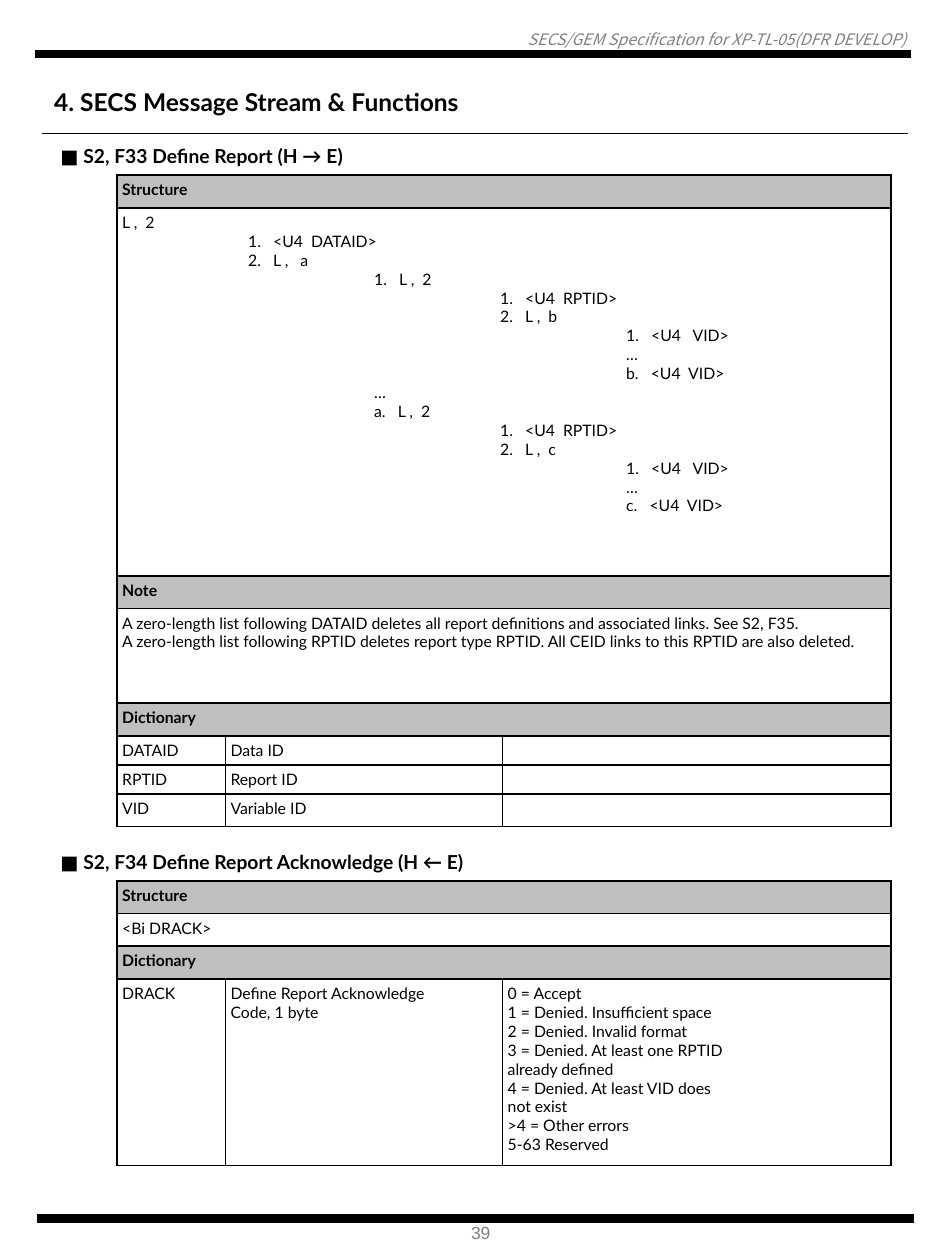
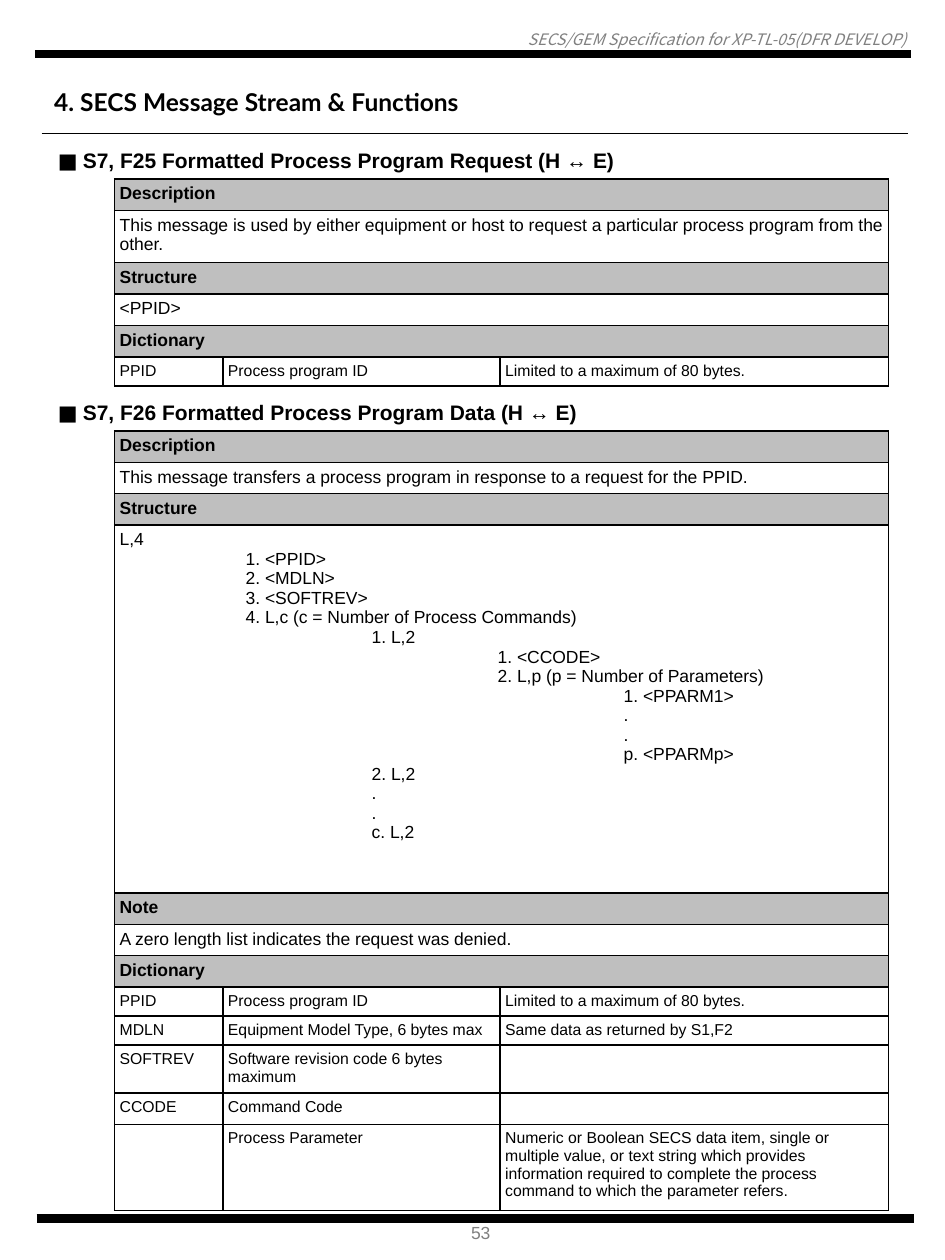
from lxml import etree
from pptx import Presentation
from pptx.dml.color import RGBColor
from pptx.enum.shapes import MSO_CONNECTOR
from pptx.enum.text import MSO_ANCHOR, MSO_AUTO_SIZE, PP_ALIGN
from pptx.oxml import parse_xml
from pptx.oxml.ns import nsdecls, qn
from pptx.util import Inches, Pt

STRAIGHT = MSO_CONNECTOR.STRAIGHT
TOP, MIDDLE = MSO_ANCHOR.TOP, MSO_ANCHOR.MIDDLE
LEFT, RIGHT = PP_ALIGN.LEFT, PP_ALIGN.RIGHT
NO_AUTOSIZE = MSO_AUTO_SIZE.NONE

BLACK, WHITE, GREY, BAND = "000000", "FFFFFF", "808080", "BFBFBF"
TITLE = "4. SECS Message Stream & Functions"
COLUMNS = [0.49, 0.86, 2.2, 3.08]
SECTIONS = ("Description", "Structure", "Note", "Dictionary")
# Full-width lines of the page: x1, x2, y, weight
RULES = [(0.28, 7.23, 0.43, 4.75), (0.29, 7.25, 9.67, 4.75), (0.33, 7.21, 1.06, 0.75)]


def add_run(p, text, font, size, color=BLACK, bold=False, italic=False):
    r = p.add_run()
    r.text = text
    r.font.name, r.font.size = font, Pt(size)
    r.font.bold, r.font.italic = bold, italic
    r.font.color.rgb = RGBColor.from_string(color)


def set_borders(cell, sides):
    """sides: (colour, points) for left, right, top and bottom."""
    tc_pr = cell._tc.get_or_add_tcPr()
    for i, (side, (color, points)) in enumerate(zip("LRTB", sides)):
        tc_pr.insert(i, parse_xml(
            f'<a:ln{side} {nsdecls("a")} w="{Pt(points)}"><a:solidFill>'
            f'<a:srgbClr val="{color}"/></a:solidFill></a:ln{side}>'))


# Message tables: a row is its height and its texts; one text spans the three
# inner columns, and each leading tab of a line is one indent level.
define_report = [
    (0.26, ["Structure"]),
    (2.92, ["""L ,  2
\t1.   <U4  DATAID>
\t2.   L ,   a
\t\t1.   L ,  2
\t\t\t1.   <U4  RPTID>
\t\t\t2.   L ,  b
\t\t\t\t1.   <U4   VID>
\t\t\t\t…
\t\t\t\tb.   <U4  VID>
\t\t…
\t\ta.   L ,  2
\t\t\t1.   <U4  RPTID>
\t\t\t2.   L ,  c
\t\t\t\t1.   <U4   VID>
\t\t\t\t…
\t\t\t\tc.   <U4  VID>"""]),
    (0.26, ["Note"]),
    (0.75, ["A zero-length list following DATAID deletes all report definitions "
            "and associated links. See S2, F35.\n"
            "A zero-length list following RPTID deletes report type RPTID. "
            "All CEID links to this RPTID are also deleted."]),
    (0.26, ["Dictionary"]),
    (0.23, ["DATAID", "Data ID", ""]),
    (0.23, ["RPTID", "Report ID", ""]),
    (0.26, ["VID", "Variable ID", ""]),
]
report_acknowledge = [
    (0.26, ["Structure"]),
    (0.26, ["<Bi DRACK>"]),
    (0.26, ["Dictionary"]),
    (1.48, ["DRACK", "Define Report Acknowledge\nCode, 1 byte", """0 = Accept
1 = Denied. Insufficient space
2 = Denied. Invalid format
3 = Denied. At least one RPTID
already defined
4 = Denied. At least VID does
not exist
>4 = Other errors
5-63 Reserved"""]),
]
PPID_ROW = (0.23, ["PPID", "Process program ID", "Limited to a maximum of 80 bytes."])
program_request = [
    (0.25, ["Description"]),
    (0.41, ["This message is used by either equipment or host to request "
            "a particular process program from the other."]),
    (0.25, ["Structure"]),
    (0.25, ["<PPID>"]),
    (0.25, ["Dictionary"]),
    PPID_ROW,
]
program_data = [
    (0.25, ["Description"]),
    (0.24, ["This message transfers a process program in response to a request for the PPID."]),
    (0.25, ["Structure"]),
    (2.92, ["""L,4
\t1. <PPID>
\t2. <MDLN>
\t3. <SOFTREV>
\t4. L,c (c = Number of Process Commands)
\t\t1. L,2
\t\t\t1. <CCODE>
\t\t\t2. L,p (p = Number of Parameters)
\t\t\t\t1. <PPARM1>
\t\t\t\t.
\t\t\t\t.
\t\t\t\tp. <PPARMp>
\t\t2. L,2
\t\t.
\t\t.
\t\tc. L,2"""]),
    (0.25, ["Note"]),
    (0.24, ["A zero length list indicates the request was denied."]),
    (0.25, ["Dictionary"]),
    PPID_ROW,
    (0.23, ["MDLN", "Equipment Model Type, 6 bytes max", "Same data as returned by S1,F2"]),
    (0.38, ["SOFTREV", "Software revision code 6 bytes maximum", ""]),
    (0.25, ["CCODE", "Command Code", ""]),
    (0.68, ["", "Process Parameter",
            "Numeric or Boolean SECS data item, single or multiple value, "
            "or text string which provides\n"
            "information required to complete the process command "
            "to which the parameter refers."]),
]

# Page number, font, sizes (heading, text, dictionary), table left, and the
# tables: top, heading, rows, first and last row merged in the margin column
pages = [
    ("39", "Lato", (11, 9, 9), 0.44, [
        (1.09, "S2, F33 Define Report (H → E)", define_report, 4, 7),
        (6.69, "S2, F34 Define Report Acknowledge (H ← E)", report_acknowledge, 3, 4)]),
    ("53", "Arial", (12, 10, 9), 0.42, [
        (1.12, "S7, F25 Formatted Process Program Request (H ↔ E)", program_request, 5, 6),
        (3.12, "S7, F26 Formatted Process Program Data (H ↔ E)", program_data, 6, 10)]),
]

prs = Presentation()
prs.slide_width, prs.slide_height = Inches(7.5), Inches(10)

for number, font, (heading_size, text_size, dict_size), left, tables in pages:
    s = prs.slides.add_slide(prs.slide_layouts[5])

    # Title
    sp = s.shapes.title
    sp.left, sp.top, sp.width, sp.height = map(Inches, (0.33, 0.64, 3.86, 0.34))
    tf = sp.text_frame
    tf.word_wrap, tf.auto_size, tf.vertical_anchor = False, NO_AUTOSIZE, TOP
    tf.paragraphs[0].alignment = LEFT
    add_run(tf.paragraphs[0], TITLE, "Lato", 14, bold=True)

    # Running header
    sp = s.shapes.add_textbox(Inches(0.05), Inches(0.24), Inches(7.14), Inches(0.15))
    tf = sp.text_frame
    tf.word_wrap = True
    tf.margin_left = tf.margin_right = tf.margin_top = tf.margin_bottom = 0
    tf.paragraphs[0].alignment = RIGHT
    add_run(tf.paragraphs[0], "SECS/GEM Specification for XP-TL-05(DFR DEVELOP)",
            "Noto Sans CJK KR", 9, GREY, italic=True)

    # Bars and title rule
    for x1, x2, y, weight in RULES:
        line = s.shapes.add_connector(STRAIGHT, Inches(x1), Inches(y), Inches(x2), Inches(y))
        line.line.color.rgb = RGBColor.from_string(BLACK)
        line.line.width = Pt(weight)
        etree.SubElement(line._element.spPr, qn("a:effectLst"))

    # Page number
    sp = s.shapes.add_textbox(Inches(3.64), Inches(9.65), Inches(0.37), Inches(0.27))
    sp.text_frame.word_wrap = False
    add_run(sp.text_frame.paragraphs[0], number, "Arial", 10, GREY)

    # Message tables
    for top, heading, rows, merge_from, merge_to in tables:
        heights = [0.3] + [height for height, _ in rows]
        table = s.shapes.add_table(
            len(heights), len(COLUMNS), Inches(left), Inches(top),
            Inches(sum(COLUMNS)), Inches(sum(heights))).table
        table.first_row = table.horz_banding = False
        for i, width in enumerate(COLUMNS):
            table.columns[i].width = Inches(width)

        # Cell frames
        for i, height in enumerate(heights):
            table.rows[i].height = Inches(height)
            for j in range(len(COLUMNS)):
                cell = table.cell(i, j)
                cell.margin_left = cell.margin_right = Inches(0.04)
                cell.margin_top = cell.margin_bottom = Inches(0.04)
                cell.fill.background()
                light, dark = (WHITE, 0.75), (BLACK, 1)
                if i == 0:
                    set_borders(cell, [light] * 4)
                elif j == 0:
                    set_borders(cell, [light, dark, light, light])
                else:
                    set_borders(cell, [dark] * 4)

        # Heading
        cell = table.cell(0, 0)
        cell.merge(table.cell(0, 3))
        cell.vertical_anchor = MIDDLE
        p = cell.text_frame.paragraphs[0]
        add_run(p, "■ ", "Lato", heading_size, bold=True)
        add_run(p, heading, font, heading_size, bold=True)
        table.cell(merge_from, 0).merge(table.cell(merge_to, 0))

        # Texts
        for i, (_, texts) in enumerate(rows, 1):
            if len(texts) == 1:
                table.cell(i, 1).merge(table.cell(i, 3))
            size = text_size if len(texts) == 1 else dict_size
            is_section = texts[0] in SECTIONS
            for j, text in enumerate(texts, 1):
                cell = table.cell(i, j)
                if is_section:
                    cell.fill.solid()
                    cell.fill.fore_color.rgb = RGBColor.from_string(BAND)
                tf = cell.text_frame
                for k, row_line in enumerate(text.split("\n") if text else []):
                    p = tf.add_paragraph() if k else tf.paragraphs[0]
                    words = row_line.lstrip("\t")
                    level = len(row_line) - len(words)
                    if level:
                        p._p.get_or_add_pPr().set("marL", str(Inches(level)))
                    add_run(p, words, font, size, bold=is_section)

        # Small text size in empty cells, so that they keep the row heights
        for cell in table.iter_cells():
            if not cell.text_frame.text:
                p = cell.text_frame.paragraphs[0]
                etree.SubElement(p._p, qn("a:endParaRPr"), sz="800")

prs.save("out.pptx")
